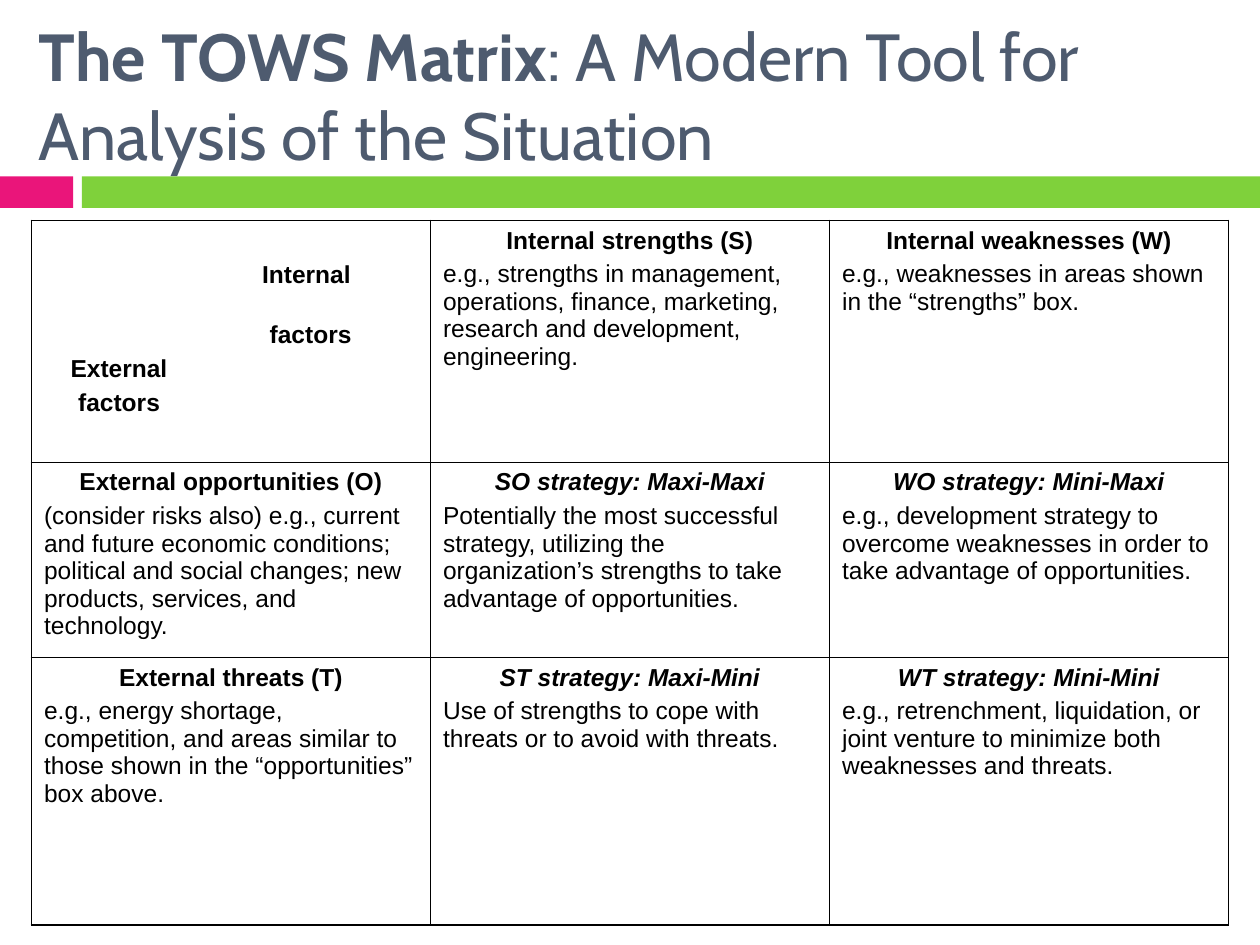
from dataclasses import dataclass

from lxml import etree
from pptx import Presentation
from pptx.dml.color import RGBColor
from pptx.enum.shapes import MSO_SHAPE
from pptx.enum.text import MSO_ANCHOR, PP_ALIGN
from pptx.oxml.ns import qn
from pptx.util import Inches, Pt


@dataclass(frozen=True)
class Theme:
    title_color: str = "4E5B6F"
    text_color: str = "000000"
    border_color: str = "000000"
    pink: str = "EA157A"
    green: str = "7FD13B"
    title_font: str = "Cabin"
    body_font: str = "Arial"
    title_size: float = 38
    body_size: float = 14
    paragraph_gap: float = 3.5
    outer_border: float = 1.08
    inner_border: float = 0.45


def write_run(paragraph, text, *, font, size, color, bold=False, italic=False):
    run = paragraph.add_run()
    run.text = text
    run.font.name = font
    run.font.size = Pt(size)
    run.font.color.rgb = RGBColor.from_string(color)
    run.font.bold = bold
    run.font.italic = italic


class SlideBuilder:
    def __init__(self, slide, theme):
        self.slide = slide
        self.theme = theme

    def bar(self, left, top, width, height, color):
        shape = self.slide.shapes.add_shape(
            MSO_SHAPE.RECTANGLE, Inches(left), Inches(top), Inches(width), Inches(height))
        shape.shadow.inherit = False
        shape.fill.solid()
        shape.fill.fore_color.rgb = RGBColor.from_string(color)
        shape.line.fill.background()

    def title(self, left, top, width, height, lead, rest):
        box = self.slide.shapes.add_textbox(
            Inches(left), Inches(top), Inches(width), Inches(height))
        frame = box.text_frame
        frame.word_wrap = True
        frame.vertical_anchor = MSO_ANCHOR.MIDDLE
        style = dict(font=self.theme.title_font, size=self.theme.title_size,
                     color=self.theme.title_color)
        write_run(frame.paragraphs[0], lead, bold=True, **style)
        write_run(frame.paragraphs[0], rest, **style)

    def table(self, left, top, width, row_heights, column_count):
        frame = self.slide.shapes.add_table(
            len(row_heights), column_count, Inches(left), Inches(top),
            Inches(width), Inches(sum(row_heights)))
        table = frame.table
        table.first_row = False
        table.horz_banding = False
        for column in table.columns:
            column.width = Inches(width / column_count)
        for row, height in zip(table.rows, row_heights):
            row.height = Inches(height)
        last_row, last_column = len(row_heights) - 1, column_count - 1
        for row in range(len(row_heights)):
            for column in range(column_count):
                cell = table.cell(row, column)
                cell.fill.background()
                self.borders(cell, lnL=column == 0, lnR=column == last_column,
                             lnT=row == 0, lnB=row == last_row)
        return table

    def borders(self, cell, **outer_sides):
        properties = cell._tc.get_or_add_tcPr()
        for index, (side, is_outer) in enumerate(outer_sides.items()):
            points = self.theme.outer_border if is_outer else self.theme.inner_border
            line = etree.Element(qn(f"a:{side}"), w=str(Pt(points)))
            fill = etree.SubElement(line, qn("a:solidFill"))
            etree.SubElement(fill, qn("a:srgbClr"), val=self.theme.border_color)
            properties.insert(index, line)

    def cell_paragraph(self, cell, text, *, gap=None, indent=0,
                       align=PP_ALIGN.LEFT, bold=False, italic=False):
        frame = cell.text_frame
        paragraph = frame.paragraphs[0]
        if paragraph.runs:
            paragraph = frame.add_paragraph()
            paragraph.space_before = Pt(self.theme.paragraph_gap if gap is None else gap)
        paragraph.alignment = align
        if indent:
            paragraph._p.get_or_add_pPr().set("marL", str(Inches(indent)))
        write_run(paragraph, text, font=self.theme.body_font, size=self.theme.body_size,
                  color=self.theme.text_color, bold=bold, italic=italic)

    def matrix_cell(self, cell, heading, body, italic):
        self.cell_paragraph(cell, heading, align=PP_ALIGN.CENTER, bold=True, italic=italic)
        self.cell_paragraph(cell, body)

    def corner_cell(self, cell, labels):
        cell.margin_top = Inches(0.32)
        for text, indent, gap in labels:
            self.cell_paragraph(cell, text, indent=indent, gap=gap, bold=True)


CORNER_LABELS = [  # text, indent in inches, gap above in points
    ("Internal", 1.73, None),
    ("factors", 1.79, 19),
    ("External", 0.21, None),
    ("factors", 0.27, None),
]

MATRIX = [
    [None,
     ("Internal strengths (S)",
      "e.g., strengths in management, operations, finance, marketing, "
      "research and development, engineering."),
     ("Internal weaknesses (W)",
      "e.g., weaknesses in areas shown in the “strengths” box.")],
    [("External opportunities (O)",
      "(consider risks also) e.g., current and future economic conditions; "
      "political and social changes; new products, services, and technology."),
     ("SO strategy: Maxi-Maxi",
      "Potentially the most successful strategy, utilizing the organization’s "
      "strengths to take advantage of opportunities."),
     ("WO strategy: Mini-Maxi",
      "e.g., development strategy to overcome weaknesses in order to take "
      "advantage of opportunities.")],
    [("External threats (T)",
      "e.g., energy shortage, competition, and areas similar to those shown "
      "in the “opportunities” box above."),
     ("ST strategy: Maxi-Mini",
      "Use of strengths to cope with threats or to avoid with threats."),
     ("WT strategy: Mini-Mini",
      "e.g., retrenchment, liquidation, or joint venture to minimize both "
      "weaknesses and threats.")],
]


def main():
    presentation = Presentation()
    presentation.slide_width = Inches(10)
    presentation.slide_height = Inches(7.5)
    slide = presentation.slides.add_slide(presentation.slide_layouts[6])
    theme = Theme()
    builder = SlideBuilder(slide, theme)

    # Coloured band under the title
    builder.bar(0, 1.4, 0.58, 0.25, theme.pink)
    builder.bar(0.65, 1.4, 9.35, 0.25, theme.green)

    # Title
    builder.title(0.21, 0.25, 8.77, 1, "The TOWS Matrix",
                  ": A Modern Tool for Analysis of the Situation")

    # Matrix: strategy headings, inside the factor row and column, are italic
    table = builder.table(0.25, 1.75, 9.5, [1.92, 1.55, 2.12], 3)
    builder.corner_cell(table.cell(0, 0), CORNER_LABELS)
    for row, entries in enumerate(MATRIX):
        for column, entry in enumerate(entries):
            if entry:
                builder.matrix_cell(table.cell(row, column), *entry,
                                    italic=row > 0 and column > 0)

    presentation.save("out.pptx")


if __name__ == "__main__":
    main()
